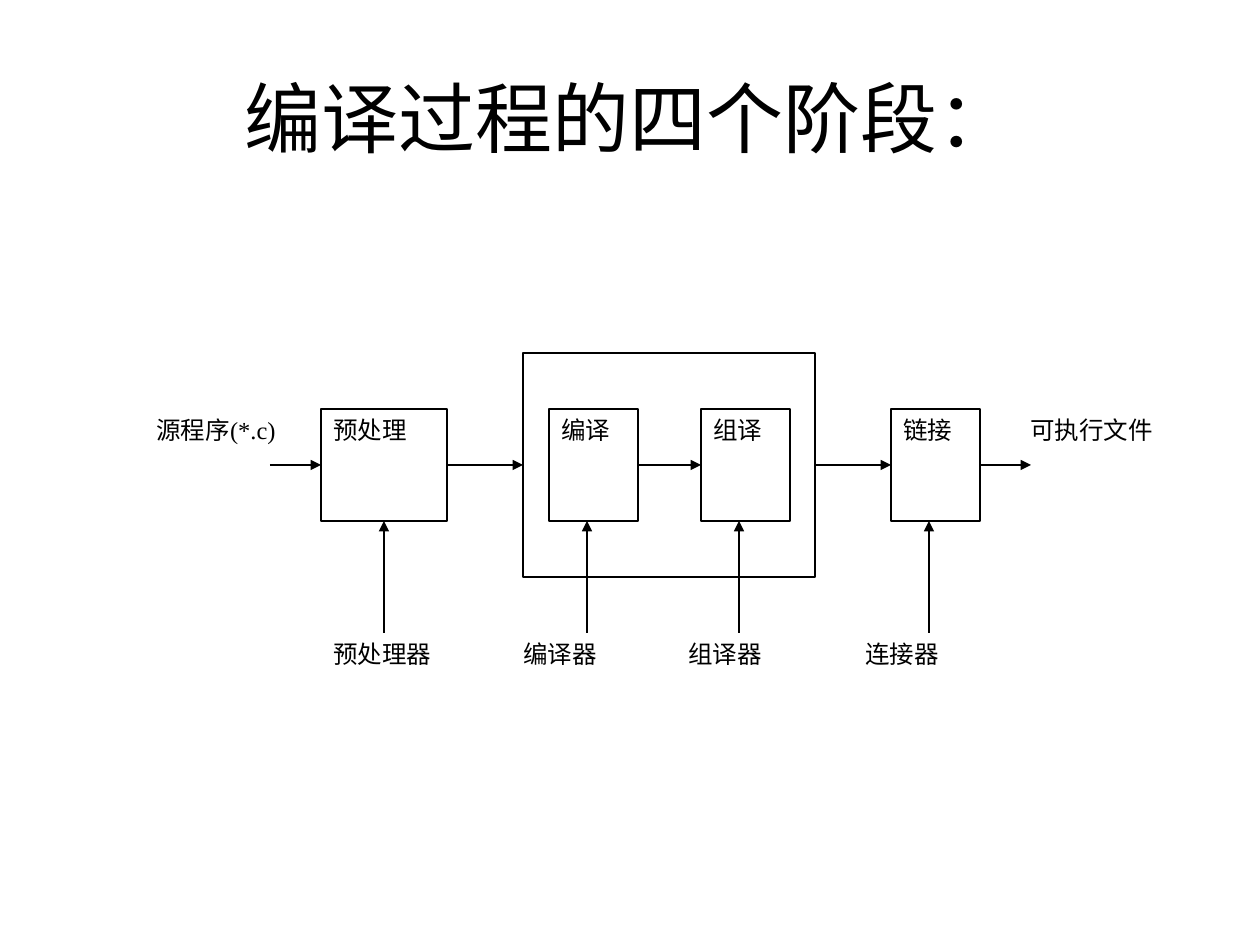
from pptx import Presentation
from pptx.dml.color import RGBColor
from pptx.enum.shapes import MSO_CONNECTOR, MSO_SHAPE
from pptx.enum.text import MSO_ANCHOR, PP_ALIGN
from pptx.oxml.ns import qn
from pptx.util import Emu, Pt
from lxml.etree import SubElement

COLORS = {"ink": "000000", "paper": "FFFFFF"}
TITLE = "编译过程的四个阶段："
# stage, box left, box width, tool arrow offset, tool, tool label left
STAGES = [
    ("预处理", 321, 126, 63, "预处理器", 321),
    ("编译", 549, 89, 38, "编译器", 511),
    ("组译", 701, 89, 38, "组译器", 676),
    ("链接", 891, 89, 38, "连接器", 853),
]
# text, left, width
ENDS = [("源程序(*.c)", 144, 152), ("可执行文件", 1018, 178)]
BOX_TOP, BOX_HEIGHT = 409, 112
FRAME_LEFT, FRAME_WIDTH = 523, 292
FRAME_PAD = BOX_HEIGHT // 2
END_ARROW = 51
TITLE_FORMAT = {"size": Pt(44), "name": "Calibri"}
LABEL_FORMAT = {"size": Pt(14), "name": "Times New Roman"}


def px(*lengths):
    return [Emu(round(n * 914400 / 126)) for n in lengths]


def rgb(key):
    return RGBColor.from_string(COLORS[key])


def write(holder, text, formats, align, anchor=MSO_ANCHOR.TOP):
    frame = holder.text_frame
    frame.word_wrap = True
    frame.vertical_anchor = anchor
    paragraph = frame.paragraphs[0]
    paragraph.alignment = align
    run = paragraph.add_run()
    run.text = text
    for key, value in formats.items():
        setattr(run.font, key, value)
    run.font.color.rgb = rgb("ink")


def add_label(text, left, top, width):
    label = slide.shapes.add_textbox(*px(left, top, width, BOX_HEIGHT))
    write(label, text, LABEL_FORMAT, PP_ALIGN.JUSTIFY)


def add_box(left, top, width, height):
    box = slide.shapes.add_shape(MSO_SHAPE.RECTANGLE, *px(left, top, width, height))
    box.shadow.inherit = False
    box.fill.background()
    box.line.color.rgb = rgb("ink")
    box.line.width = Pt(0.75)
    return box


def add_arrow(x1, y1, x2, y2):
    arrow = slide.shapes.add_connector(MSO_CONNECTOR.STRAIGHT, *px(x1, y1, x2, y2))
    arrow.line.color.rgb = rgb("ink")
    arrow.line.width = Pt(1.5)
    SubElement(arrow.line._get_or_add_ln(), qn("a:tailEnd"), type="triangle")
    SubElement(arrow._element.spPr, qn("a:effectLst"))


prs = Presentation()
prs.slide_width, prs.slide_height = px(1260, 945)
slide = prs.slides.add_slide(prs.slide_layouts[6])
slide.background.fill.solid()
slide.background.fill.fore_color.rgb = rgb("paper")

# Title
title = slide.shapes.add_textbox(*px(63, 38, 1134, 157))
write(title, TITLE, TITLE_FORMAT, PP_ALIGN.CENTER, MSO_ANCHOR.MIDDLE)

# Frame around compiling and assembling
add_box(FRAME_LEFT, BOX_TOP - FRAME_PAD, FRAME_WIDTH, BOX_HEIGHT + 2 * FRAME_PAD)

# Stages, each with its tool below
box_bottom = BOX_TOP + BOX_HEIGHT
tool_top = box_bottom + BOX_HEIGHT
for stage, left, width, offset, tool, tool_left in STAGES:
    box = add_box(left, BOX_TOP, width, BOX_HEIGHT)
    write(box, stage, LABEL_FORMAT, PP_ALIGN.JUSTIFY)
    add_arrow(left + offset, tool_top, left + offset, box_bottom)
    add_label(tool, tool_left, tool_top, 140)

# Input and output
for text, left, width in ENDS:
    add_label(text, left, BOX_TOP, width)

# Flow from left to right
spans = [(left, left + width) for _, left, width, *_ in STAGES]
preprocess, compiling, assembling, linking = spans
frame_span = (FRAME_LEFT, FRAME_LEFT + FRAME_WIDTH)
flow = [
    (preprocess[0] - END_ARROW, preprocess[0]),
    (preprocess[1], frame_span[0]),
    (compiling[1], assembling[0]),
    (frame_span[1], linking[0]),
    (linking[1], linking[1] + END_ARROW),
]
middle = BOX_TOP + BOX_HEIGHT // 2
for start, end in flow:
    add_arrow(start, middle, end, middle)

prs.save("out.pptx")
